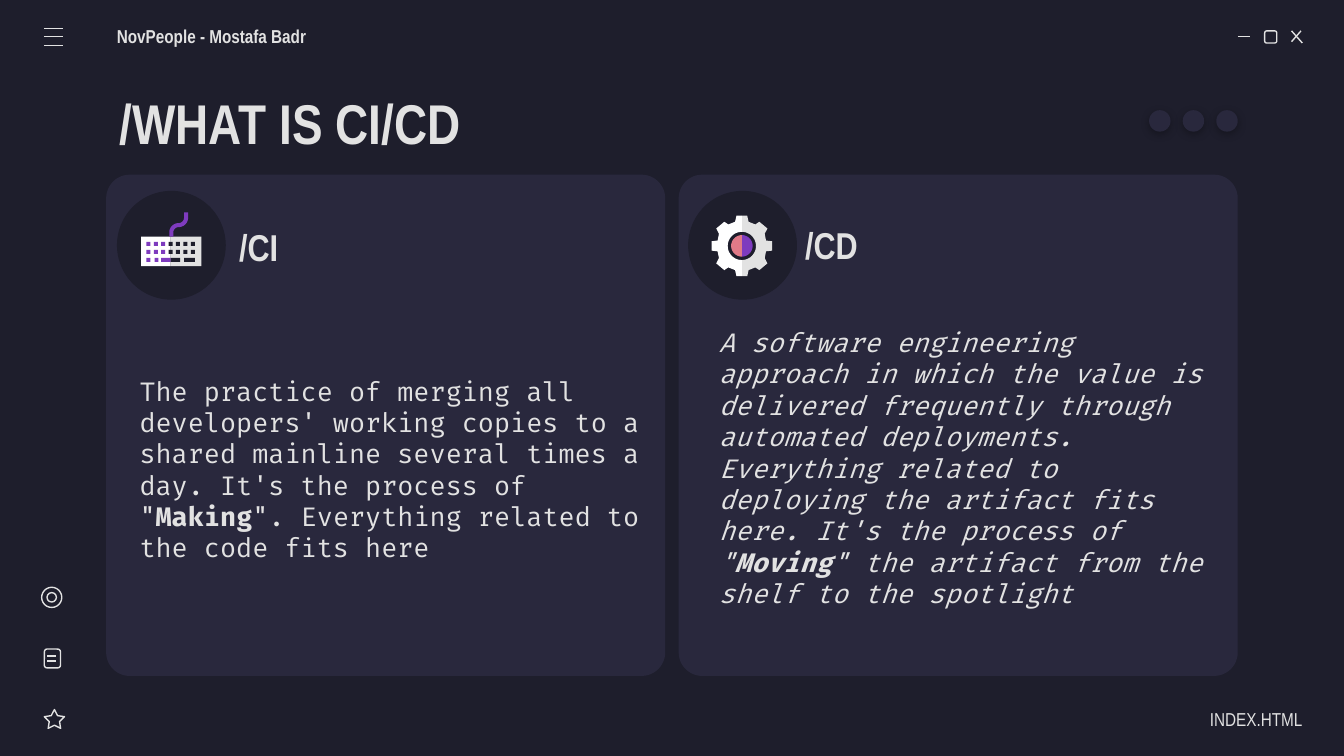
from math import cos, radians, sin

from lxml import etree
from pptx import Presentation
from pptx.dml.color import RGBColor
from pptx.enum.shapes import MSO_CONNECTOR, MSO_SHAPE
from pptx.enum.text import MSO_ANCHOR, MSO_AUTO_SIZE, PP_ALIGN
from pptx.oxml import parse_xml
from pptx.oxml.ns import nsdecls, qn
from pptx.util import Inches, Pt

ROUND, OVAL = MSO_SHAPE.ROUNDED_RECTANGLE, MSO_SHAPE.OVAL
RECT, STAR = MSO_SHAPE.RECTANGLE, MSO_SHAPE.STAR_5_POINT
STRAIGHT = MSO_CONNECTOR.STRAIGHT
MIDDLE, NO_FIT = MSO_ANCHOR.MIDDLE, MSO_AUTO_SIZE.NONE
LEFT, RIGHT = PP_ALIGN.LEFT, PP_ALIGN.RIGHT
C = {"bg": "1E1E2C", "card": "29283D", "light": "E2E2E2",
     "white": "FFFFFF", "purple": "7E3BBE", "pink": "E07A88"}
SANS, MONO = "Arial Narrow", "Fira Code"


def arc(cx, cy, radius, start, end):
    return [(cx + radius * cos(radians(start + (end - start) * i / 24)),
             cy + radius * sin(radians(start + (end - start) * i / 24)))
            for i in range(25)]


def style(sp, fill=None, line=None):
    sp.shadow.inherit = False
    if fill:
        sp.fill.solid()
        sp.fill.fore_color.rgb = RGBColor.from_string(C[fill])
    else:
        sp.fill.background()
    if line:
        sp.line.color.rgb = RGBColor.from_string(C[line])
        sp.line.width = Pt(0.75)
    else:
        sp.line.fill.background()


prs = Presentation()
prs.slide_width = Inches(10)
prs.slide_height = Inches(10) * 9 // 16
s = prs.slides.add_slide(prs.slide_layouts[5])
s.background.fill.solid()
s.background.fill.fore_color.rgb = RGBColor.from_string(C["bg"])

# Cards, badges and window icons
shapes = [(ROUND, x, 1.3, 4.16, 3.73, 0.047, "card", None) for x in (0.79, 5.05)]
shapes += [(OVAL, x, 1.42, 0.81, 0.81, None, "bg", None) for x in (0.87, 5.12)]
shapes += [
    (ROUND, 9.41, 0.23, 0.09, 0.09, 0.167, None, "light"),
    (STAR, 0.33, 5.28, 0.15, 0.14, 0.254, None, "light"),
    (ROUND, 0.33, 4.83, 0.12, 0.14, 0.167, None, "light"),
    (OVAL, 0.31, 4.37, 0.15, 0.15, None, None, "light"),
    (OVAL, 0.35, 4.41, 0.07, 0.07, None, None, "light"),
    (RECT, 1.27, 1.76, 0.23, 0.22, None, "light", None),
    (RECT, 1.05, 1.76, 0.22, 0.22, None, "white", None),
]

# Keyboard keys
for row in range(2):
    for col in range(7):
        shapes.append((RECT, 1.09 + 0.055 * col, 1.8 + 0.06 * row, 0.03, 0.03,
                       None, "purple" if col < 3 else "bg", None))
for x, w, fill in [(1.09, 0.03, "purple"), (1.15, 0.03, "purple"),
                   (1.2, 0.07, "purple"), (1.27, 0.07, "bg"), (1.37, 0.08, "bg")]:
    shapes.append((RECT, x, 1.92, w, 0.03, None, fill, None))

for kind, x, y, w, h, adj, fill, line in shapes:
    sp = s.shapes.add_shape(kind, Inches(x), Inches(y), Inches(w), Inches(h))
    if adj:
        sp.adjustments[0] = adj
    style(sp, fill, line)

# Header dots
for i in range(3):
    sp = s.shapes.add_shape(OVAL, Inches(8.55 + 0.25 * i), Inches(0.82),
                            Inches(0.16), Inches(0.16))
    style(sp, "card")
    sp._element.spPr.find(qn("a:effectLst")).append(parse_xml(
        f'<a:outerShdw {nsdecls("a")} blurRad="57150" dist="19050" dir="5400000">'
        '<a:srgbClr val="000000"><a:alpha val="30000"/></a:srgbClr></a:outerShdw>'))

# Menu, document and window control lines
lines = [(0.33, y, 0.47, y) for y in (0.21, 0.27, 0.34)]
lines += [(0.35, y, 0.42, y) for y in (4.88, 4.92)]
lines += [(9.21, 0.27, 9.3, 0.27), (9.61, 0.23, 9.69, 0.32), (9.68, 0.23, 9.61, 0.31)]
for x1, y1, x2, y2 in lines:
    cn = s.shapes.add_connector(STRAIGHT, Inches(x1), Inches(y1), Inches(x2), Inches(y2))
    cn.line.color.rgb = RGBColor.from_string(C["light"])
    cn.line.width = Pt(0.75)
    etree.SubElement(cn._element.spPr, qn("a:effectLst"))

# Keyboard cable and gear
cable = ([(1.37, 1.58)] + arc(1.33, 1.62, 0.04, 0, 90)
         + arc(1.33, 1.73, 0.07, 270, 180) + [(1.26, 1.76), (1.29, 1.76)]
         + arc(1.33, 1.73, 0.04, 180, 270) + arc(1.33, 1.62, 0.07, 90, 0)
         + [(1.4, 1.58)])
outlines = [(cable, "purple")]
gear_x, gear_y = 5.52, 1.83
quarter = [(0, -0.225), (0.04, -0.225), (0.05, -0.18), (0.1, -0.16), (0.13, -0.18),
           (0.19, -0.13), (0.17, -0.09), (0.18, -0.04), (0.225, -0.035)]
teeth = quarter + [(x, -y) for x, y in reversed(quarter)]
for side, rim, core in [(1, "light", "purple"), (-1, "white", "pink")]:
    half = teeth + arc(0, 0, 0.105, 90, -90)
    for points, fill in [(half, rim), (arc(0, 0, 0.08, -90, 90), core)]:
        outlines.append(([(gear_x + side * x, gear_y + y) for x, y in points], fill))
for points, fill in outlines:
    points = [(Inches(x), Inches(y)) for x, y in points]
    fb = s.shapes.build_freeform(*points[0])
    fb.add_line_segments(points[1:], close=True)
    style(fb.convert_to_shape(), fill)

# Title and texts
ci = [("The practice of merging all developers' working copies to a shared mainline "
       "several times a day. It's the process of \"", False), ("Making", True),
      ("\". Everything related to the code fits here", False)]
cd = [("A software engineering approach in which the value is delivered frequently "
       "through automated deployments. Everything related to deploying the artifact "
       "fits here. It's the process of \"", False), ("Moving", True),
      ("\" the artifact from the shelf to the spotlight", False)]
texts = [
    (0.79, 0.59, 8.43, 0.63, 0.1, 0.1, [("/WHAT IS CI/CD", True)], 30, SANS, False, LEFT),
    (0.87, 0.12, 1.92, 0.3, 0, 0.1, [("NovPeople - Mostafa Badr", True)], 10, SANS, False, LEFT),
    (1.68, 1.58, 3.22, 0.51, 0.1, 0.1, [("/CI", True)], 20, SANS, False, LEFT),
    (5.99, 1.67, 3.22, 0.3, 0, 0.1, [("/CD", True)], 20, SANS, False, LEFT),
    (0.94, 2.53, 3.96, 1.92, 0.1, 0.1, ci, 14, MONO, False, LEFT),
    (5.25, 2.15, 3.88, 2.66, 0.1, 0.1, cd, 14, MONO, True, LEFT),
    (8.52, 5.2, 1.17, 0.3, 0.1, 0, [("INDEX.HTML", False)], 10, SANS, False, RIGHT),
]
for i, (x, y, w, h, ml, mr, runs, size, font, italic, align) in enumerate(texts):
    box = [Inches(v) for v in (x, y, w, h)]
    if i == 0:
        sp = s.shapes.title
        sp.left, sp.top, sp.width, sp.height = box
    else:
        sp = s.shapes.add_textbox(*box)
    tf = sp.text_frame
    tf.word_wrap = True
    tf.auto_size = NO_FIT
    tf.vertical_anchor = MIDDLE
    tf.margin_left, tf.margin_right = Inches(ml), Inches(mr)
    tf.margin_top = tf.margin_bottom = Inches(0.1)
    p = tf.paragraphs[0]
    p.alignment = align
    p.font.size, p.font.name, p.font.italic = Pt(size), font, italic
    p.font.color.rgb = RGBColor.from_string(C["light"])
    for text, bold in runs:
        r = p.add_run()
        r.text = text
        r.font.bold = bold

prs.save("out.pptx")
